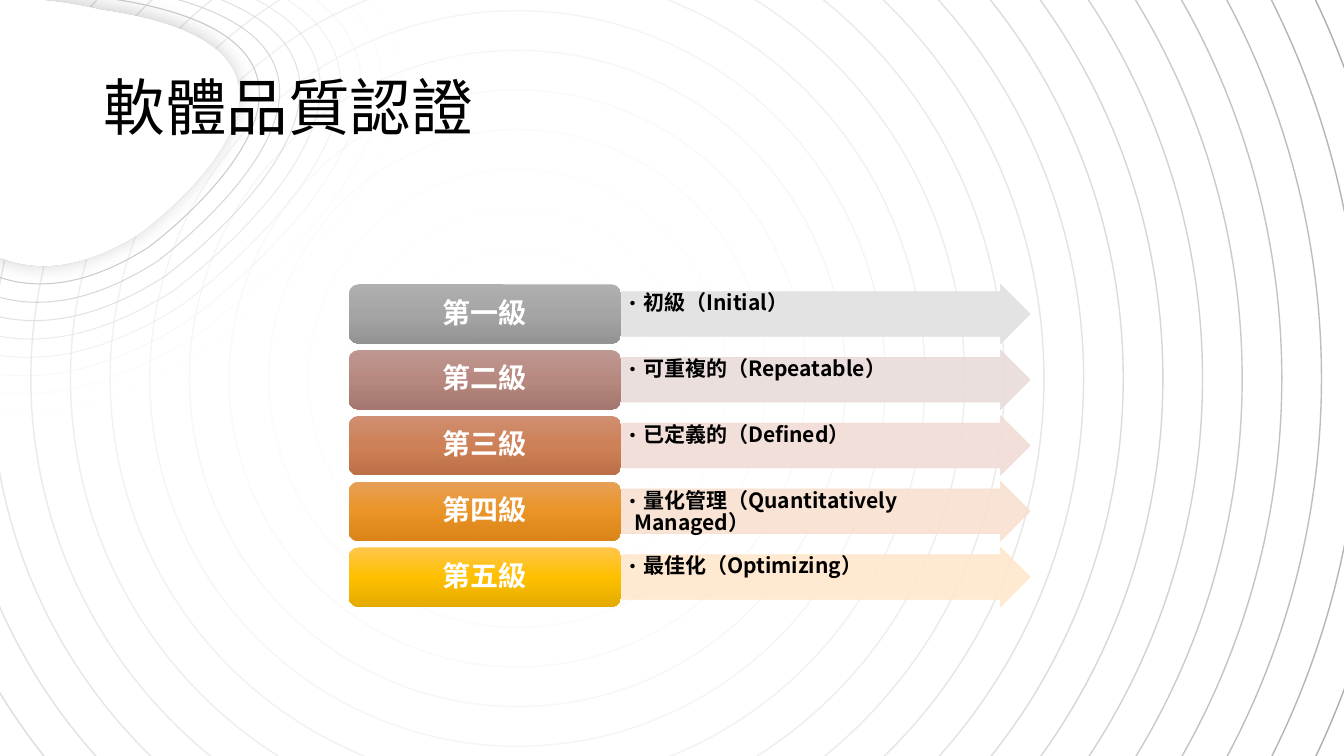
import math
import lxml.etree
import pptx
import pptx.dml.color
import pptx.enum.shapes
import pptx.enum.text
import pptx.oxml.ns
import pptx.util

SCALE = 9144  # EMU in one px, 100 px to the inch
FONT = "Noto Sans CJK SC"
SHAPE = pptx.enum.shapes.MSO_SHAPE
ANCHOR = pptx.enum.text.MSO_ANCHOR
ALIGN = pptx.enum.text.PP_ALIGN

# Blob outline: start point, then control and end point of each curve
OUTER = [(130, -88), (-360, -214), (-267, 145), (-139, 566), (206, 345), (686, -10)]
INNER = [(100, 10), (-150, -55), (-103, 129), (-37, 343), (139, 231), (384, 50)]
# Frames of both outlines before they are turned
WIDE = (-208, -214, 554, 651)
SMALL = (-72, -55, 283, 332)
TURN = 248.1

# Level, name, gradient stops, arrow colour
LEVELS = [
    ("第一級", "初級（Initial）", ("AFAFAF", "A5A5A5", "939393"), "E1E1E1"),
    ("第二級", "可重複的（Repeatable）", ("BD9791", "B7887F", "A5766F"), "E9DCDA"),
    ("第三級", "已定義的（Defined）", ("CF8F72", "CE8056", "BD6F47"), "F1DCD5"),
    ("第四級", "量化管理（Quantitatively Managed）", ("E6A056", "EA9427", "DA8419"), "F8E0D0"),
    ("第五級", "最佳化（Optimizing）", ("FFC64B", "FFC000", "E3AB00"), "FFE7CB"),
]


def px(n):
    return pptx.util.Emu(round(n * SCALE))


def rgb(code):
    return pptx.dml.color.RGBColor.from_string(code)


def gray(n):
    return f"{round(n):02X}" * 3


def mix(a, b, t):
    return tuple(p + (q - p) * t for p, q in zip(a, b))


def node(parent, tag, **attrs):
    item = lxml.etree.SubElement(parent, pptx.oxml.ns.qn(tag))
    for key, value in attrs.items():
        item.set(key, str(value))
    return item


def fade(holder, alpha):
    """Give each plain colour under holder an opacity in percent."""
    for color in holder.iter(pptx.oxml.ns.qn("a:srgbClr")):
        node(color, "a:alpha", val=round(alpha * 1000))


def stroke(shape, color, width, alpha=100):
    shape.line.color.rgb = rgb(color)
    shape.line.width = pptx.util.Pt(width)
    fade(shape.line._get_or_add_ln(), alpha)


def shade(shape, color, alpha, blur, dist, angle):
    effects = shape._element.spPr.find(pptx.oxml.ns.qn("a:effectLst"))
    cast = node(effects, "a:outerShdw", blurRad=pptx.util.Pt(blur),
                dist=pptx.util.Pt(dist), dir=angle * 60000, rotWithShape=0)
    node(node(cast, "a:srgbClr", val=color), "a:alpha", val=alpha * 1000)


def blend(shape, colors):
    """Fill from top to bottom with evenly spaced stops."""
    shape.fill.gradient()
    shape.fill.gradient_angle = 270
    stops = shape._element.spPr.find(".//" + pptx.oxml.ns.qn("a:gsLst"))
    for old in list(stops):
        stops.remove(old)
    for i, color in enumerate(colors):
        stop = node(stops, "a:gs", pos=i * 100000 // (len(colors) - 1))
        node(stop, "a:srgbClr", val=color)


def add(slide, kind, box):
    shape = slide.shapes.add_shape(kind, *map(px, box))
    shape.shadow.inherit = False
    return shape


def write(shape, text, size, color, align, anchor, pads, bold=False, hang=0):
    frame = shape.text_frame
    frame.word_wrap = True
    frame.vertical_anchor = anchor
    (frame.margin_left, frame.margin_top,
     frame.margin_right, frame.margin_bottom) = map(px, pads)
    frame.text = text
    para = frame.paragraphs[0]
    para.alignment = align
    para.line_spacing = 0.9
    if hang:
        props = para._p.get_or_add_pPr()
        props.set("marL", str(px(hang)))
        props.set("indent", str(-px(hang)))
        node(props, "a:buFont", typeface=FONT)
        node(props, "a:buChar", char="•")
    run = para.runs[0]
    run.font.size = pptx.util.Pt(size)
    run.font.name = FONT
    run.font.bold = bold
    run.font.color.rgb = rgb(color)
    node(run._r.get_or_add_rPr(), "a:ea", typeface=FONT)


def ripples(slide, box):
    """Concentric circles that fade towards the middle of the box."""
    left, top, side = box
    last = 20
    for i in range(last + 1):
        inset = i * 39.33
        size = side - 2 * inset
        ring = add(slide, SHAPE.OVAL, (left + inset, top + inset, size, size))
        ring.fill.background()
        stroke(ring, gray(166 + 4.25 * i), 1, 100 - 4.75 * i)


def trace(slide, knots, box):
    """Closed outline of three curves in a turned frame."""
    left, top, width, height = box
    cos, sin = math.cos(math.radians(TURN)), math.sin(math.radians(TURN))
    points = []
    for x, y in knots:
        dx, dy = x - left - width / 2, y - top - height / 2
        points.append((dx * cos + dy * sin + width / 2,
                       dy * cos - dx * sin + height / 2))
    build = slide.shapes.build_freeform(*points[0], scale=SCALE)
    build.add_line_segments(points[2::2], close=True)
    shape = build.convert_to_shape()
    shape.left, shape.top, shape.width, shape.height = map(px, box)
    shape.rotation = TURN
    shape.shadow.inherit = False

    # Turn the straight sides into curves
    route = shape._element.spPr.find(".//" + pptx.oxml.ns.qn("a:path"))
    route.set("w", str(px(width)))
    route.set("h", str(px(height)))
    for old in list(route):
        route.remove(old)
    parts = [("a:moveTo", points[:1])]
    for k in (0, 2, 4):
        parts.append(("a:cubicBezTo", (points[k], points[k + 1], points[(k + 2) % 6])))
    for tag, spots in parts:
        piece = node(route, tag)
        for x, y in spots:
            node(piece, "a:pt", x=px(x), y=px(y))
    node(route, "a:close")
    return shape


def blob(slide):
    """Rings shrinking to a white patch in the top left corner."""
    last = 8
    for i in range(last + 1):
        t = i / last
        knots = [mix(a, b, t) for a, b in zip(OUTER, INNER)]
        ring = trace(slide, knots, mix(WIDE, SMALL, t))
        ring.fill.background()
        stroke(ring, gray(248 - 57 * t), 0.75, 11 + 89 * t)
        shade(ring, "323232", 10, 50, 0, 0)
    patch = trace(slide, INNER, SMALL)
    patch.fill.solid()
    patch.fill.fore_color.rgb = rgb("FFFFFF")
    stroke(patch, "FFFFFF", 0.75)
    shade(patch, "000000", 20, 15, 3, 225)


def title(slide, box):
    area = slide.shapes.add_textbox(*map(px, box))
    write(area, "軟體品質認證", 44, "000000", ALIGN.LEFT, ANCHOR.TOP, (10, 5, 10, 5))


def ladder(slide, box):
    """One row per level: a label at 40% of the width, then an arrow."""
    left, top, width, height = box
    tall = 59
    pitch = (height - tall) / (len(LEVELS) - 1)
    split = width * 0.4
    for i, (level, name, colors, pale) in enumerate(LEVELS):
        y = top + i * pitch
        arrow = add(slide, SHAPE.RIGHT_ARROW, (left + split, y, width - split, tall))
        arrow.adjustments[0] = 0.75
        arrow.fill.solid()
        arrow.fill.fore_color.rgb = rgb(pale)
        fade(arrow._element.spPr, 90)
        stroke(arrow, pale, 0.5, 90)
        write(arrow, name, 15, "000000", ALIGN.LEFT, ANCHOR.TOP,
              (1, 1, 17, 1), True, 12)
        label = add(slide, SHAPE.ROUNDED_RECTANGLE, (left, y, split, tall))
        blend(label, colors)
        label.line.fill.background()
        write(label, level, 20, "FFFFFF", ALIGN.CENTER, ANCHOR.MIDDLE,
              (8, 4, 8, 4), True)


def main():
    deck = pptx.Presentation()
    deck.slide_width, deck.slide_height = pptx.util.Emu(12192000), px(750)
    slide = deck.slides.add_slide(deck.slide_layouts[6])
    ripples(slide, (-402, -540, 1831))
    blob(slide)
    title(slide, (93, 72, 1150, 145))
    ladder(slide, (346, 282, 676, 320))
    deck.save("out.pptx")


if __name__ == "__main__":
    main()
